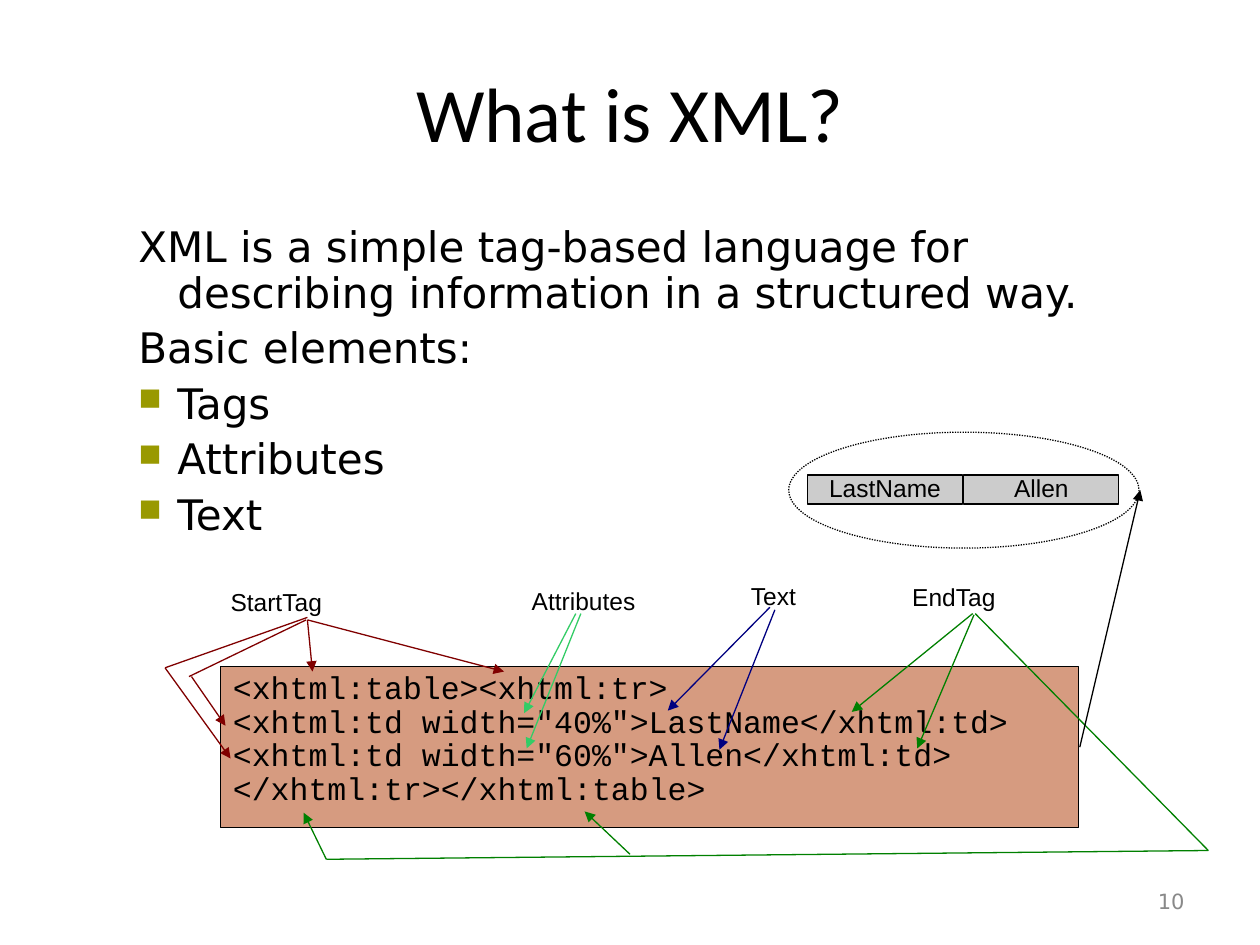
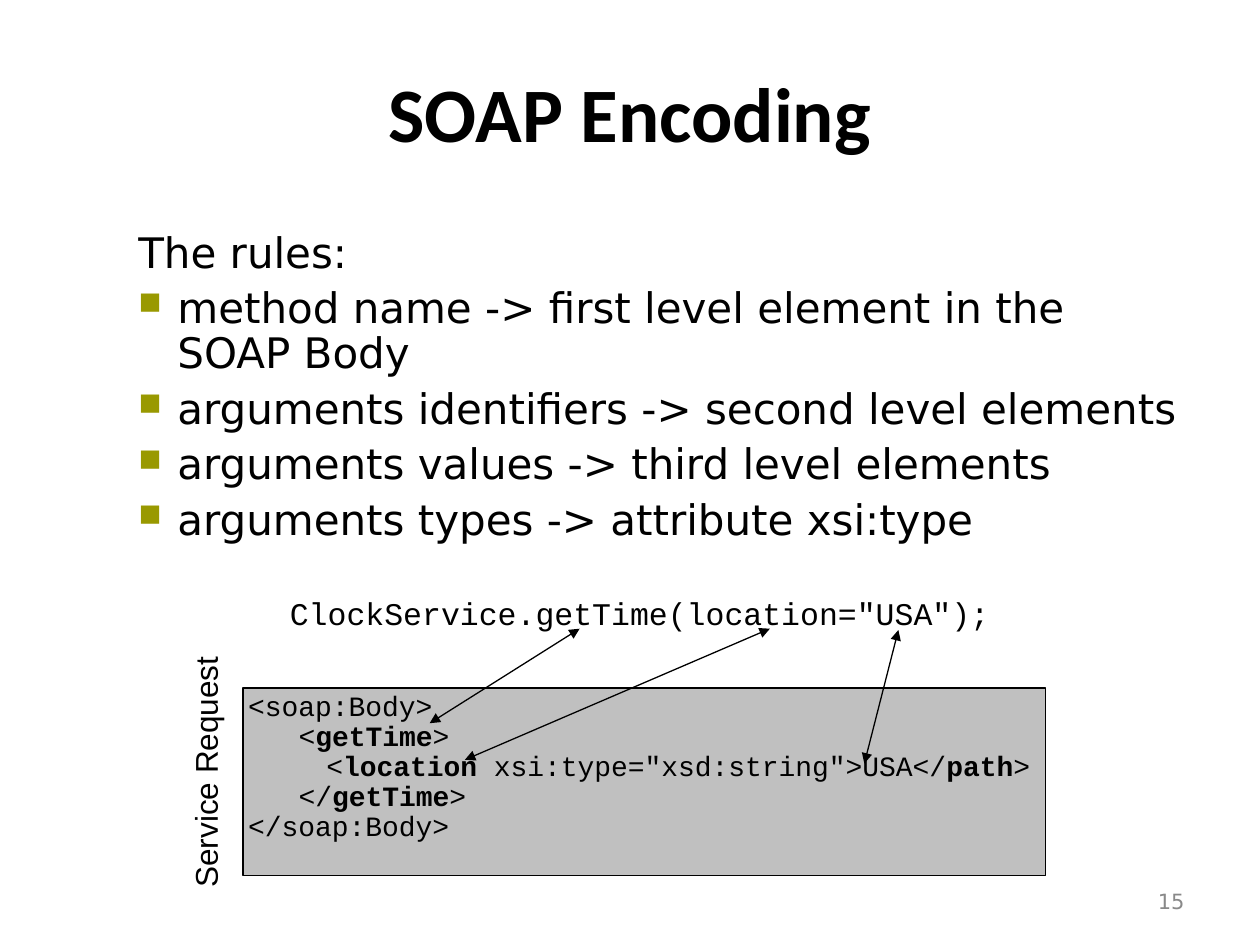
"""Build two slides that explain XML markup and SOAP encoding."""
from lxml import etree
from pptx import Presentation
from pptx.dml.color import RGBColor
from pptx.enum.dml import MSO_LINE
from pptx.enum.shapes import MSO_CONNECTOR, MSO_SHAPE
from pptx.enum.text import MSO_ANCHOR, PP_ALIGN
from pptx.oxml.ns import qn
from pptx.util import Inches, Pt

COLORS = {
    "ink": "000000", "number": "898989", "bullet": "999900",
    "xml": "D69B80", "cell": "CCCCCC", "soap": "C0C0C0",
    "start": "800000", "attribute": "33CC66", "text": "000080", "end": "008000",
}
STYLES = {
    "title": dict(font="Calibri", size=44, align=PP_ALIGN.CENTER,
                  spacing=0.95, anchor=MSO_ANCHOR.MIDDLE),
    "body": dict(font="DejaVu Sans", size=24, spacing=0.9, before=5.8, inset=(0.1, 0.05)),
    "number": dict(font="DejaVu Sans", size=12, color="number", align=PP_ALIGN.RIGHT,
                   anchor=MSO_ANCHOR.MIDDLE, inset=(0.1, 0.05)),
    "label": dict(font="Arial", size=14, spacing=0.93),
    "cell": dict(font="Arial", size=14, spacing=0.93, align=PP_ALIGN.CENTER,
                 anchor=MSO_ANCHOR.MIDDLE),
    "side": dict(font="Arial", size=18, spacing=0.93),
    "call": dict(font="Courier New", size=18, spacing=0.89),
    "xml": dict(font="Courier New", size=18, spacing=0.89, inset=(0.1, 0.05)),
    "soap": dict(font="Courier New", size=16, spacing=0.89, inset=(0.04, 0.04)),
}
TITLE_BOX = (0.5, 0.3, 9, 1.25)
NUMBER_BOX = (7.17, 6.95, 2.33, 0.4)

XML_PAGE = dict(
    title="What is XML?", number="10", body_height=2.58,
    intro=["XML is a simple tag-based language for describing information "
           "in a structured way.", "Basic elements:"],
    bullets=["Tags", "Attributes", "Text"],
)
XML_CODE = [
    "<xhtml:table><xhtml:tr>",
    '<xhtml:td width="40%">LastName</xhtml:td>',
    '<xhtml:td width="60%">Allen</xhtml:td>',
    "</xhtml:tr></xhtml:table>",
]
XML_LABELS = [
    ("StartTag", 1.83, 4.68, 1.54), ("Text", 5.96, 4.63, 0.53),
    ("EndTag", 7.24, 4.64, 1.54), ("Attributes", 4.22, 4.67, 0.92),
]
XML_CELLS = ["LastName", "Allen"]
XML_LINES = {
    "start": [((2.43, 4.92), (1.5, 5.37)), ((2.44, 4.9), (1.31, 5.3))],
    "end": [((7.74, 4.87), (9.59, 6.75)), ((2.59, 6.82), (9.59, 6.75))],
}
XML_ARROWS = {
    "start": [((2.44, 4.92), (2.48, 5.33)), ((2.44, 4.92), (4, 5.33)),
              ((1.52, 5.37), (1.79, 5.76)), ((1.31, 5.3), (1.83, 6.02))],
    "attribute": [((4.57, 4.87), (4.16, 5.66)), ((4.61, 4.87), (4.18, 5.94))],
    "text": [((6.11, 4.82), (5.3, 5.64)), ((6.15, 4.84), (5.71, 5.95))],
    "end": [((7.72, 4.87), (6.76, 5.65)), ((7.73, 4.88), (7.28, 5.94)),
            ((2.59, 6.82), (2.41, 6.45)), ((5, 6.78), (4.64, 6.44))],
    "ink": [((8.57, 5.93), (9.05, 3.89))],
}

SOAP_PAGE = dict(
    title="SOAP Encoding", number="15", body_height=2.62, bold_title=True,
    intro=["The rules:"], intro_format=dict(line_spacing=1.0, space_before=Pt(6.8)),
    bullets=["method name -> first level element in the SOAP Body",
             "arguments identifiers -> second level elements",
             "arguments values -> third level elements",
             "arguments types -> attribute xsi:type"],
)
SOAP_CALL = 'ClockService.getTime(location="USA");'
SOAP_CODE = [
    (0, "<soap:Body>"),
    (0.4, "<*getTime*>"),
    (0.62, '<*location* xsi:type="xsd:string">USA</*path*>'),
    (0.4, "</*getTime*>"),
    (0, "</soap:Body>"),
]
SOAP_ARROWS = [((3.69, 6.03), (6.11, 4.99)), ((6.86, 6.06), (7.13, 5)),
               ((3.41, 5.74), (4.6, 4.99))]


def rgb(name):
    return RGBColor.from_string(COLORS[name])


def assign(target, values):
    for name, value in values.items():
        setattr(target, name, value)


def write(shape, lines, style_name, bold=False):
    """Fill a shape with lines in a named style; asterisks enclose bold parts."""
    style = STYLES[style_name]
    frame = shape.text_frame
    across, down = (Inches(gap) for gap in style.get("inset", (0, 0)))
    assign(frame, dict(word_wrap=True, margin_left=across, margin_right=across,
                       margin_top=down, margin_bottom=down,
                       vertical_anchor=style.get("anchor", MSO_ANCHOR.TOP)))
    for index, line in enumerate(lines):
        para = frame.add_paragraph() if index else frame.paragraphs[0]
        assign(para, dict(alignment=style.get("align", PP_ALIGN.LEFT),
                          line_spacing=style.get("spacing", 1.0),
                          space_before=Pt(style.get("before", 0))))
        for part, words in enumerate(line.split("*")):
            span = para.add_run()
            span.text = words
            assign(span.font, dict(name=style["font"], size=Pt(style["size"]),
                                   bold=bold or part % 2 == 1))
            span.font.color.rgb = rgb(style.get("color", "ink"))
    return frame.paragraphs


def add_text(page, box, lines, style_name, bold=False, rotation=0):
    shape = page.shapes.add_textbox(*map(Inches, box))
    shape.rotation = rotation
    return write(shape, lines, style_name, bold)


def add_panel(page, box, fill=None, kind=MSO_SHAPE.ROUNDED_RECTANGLE):
    panel = page.shapes.add_shape(kind, *map(Inches, box))
    panel.shadow.inherit = False
    if kind == MSO_SHAPE.ROUNDED_RECTANGLE:
        panel.adjustments[0] = 0
    if fill:
        panel.fill.solid()
        panel.fill.fore_color.rgb = rgb(fill)
    else:
        panel.fill.background()
    panel.line.color.rgb = rgb("ink")
    panel.line.width = Pt(0.75)
    return panel


def add_line(page, start, end, color, arrows=()):
    line = page.shapes.add_connector(MSO_CONNECTOR.STRAIGHT,
                                     *map(Inches, (*start, *end)))
    line.line.color.rgb = rgb(color)
    line.line.width = Pt(0.75)
    outline = line.line._get_or_add_ln()
    for tip in arrows:
        etree.SubElement(outline, qn(f"a:{tip}"), type="triangle")
    etree.SubElement(line._element.spPr, qn("a:effectLst"))


def indent(para, left, first=0.0):
    properties = para._p.get_or_add_pPr()
    properties.set("marL", str(Inches(left)))
    properties.set("indent", str(Inches(first)))
    return properties


def add_bullet(properties):
    color = etree.SubElement(properties, qn("a:buClr"))
    etree.SubElement(color, qn("a:srgbClr"), val=COLORS["bullet"])
    etree.SubElement(properties, qn("a:buSzPct"), val="75000")
    etree.SubElement(properties, qn("a:buChar"), char="■")


def add_page(deck, content):
    page = deck.slides.add_slide(deck.slide_layouts[6])
    add_text(page, TITLE_BOX, [content["title"]], "title", content.get("bold_title", False))
    intro = content["intro"]
    paras = add_text(page, (0.5, 1.75, 9, content["body_height"]),
                     intro + content["bullets"], "body")
    for index, para in enumerate(paras):
        properties = indent(para, 0.81, -0.31)
        if index < len(intro):
            assign(para, content.get("intro_format", {}))
        else:
            add_bullet(properties)
    add_text(page, NUMBER_BOX, [content["number"]], "number")
    return page


def build_xml_page(deck):
    page = add_page(deck, XML_PAGE)
    write(add_panel(page, (1.75, 5.29, 6.81, 1.28), "xml"), XML_CODE, "xml")
    for label, left, top, width in XML_LABELS:
        add_text(page, (left, top, width, 0.22), [label], "label")
    for column, words in enumerate(XML_CELLS):
        cell = add_panel(page, (6.41 + 1.24 * column, 3.77, 1.23, 0.23), "cell")
        write(cell, [words], "cell")
    ring = add_panel(page, (6.26, 3.43, 2.78, 0.92), kind=MSO_SHAPE.OVAL)
    ring.line.dash_style = MSO_LINE.ROUND_DOT
    for routes, arrows in ((XML_LINES, ()), (XML_ARROWS, ("tailEnd",))):
        for color, ends in routes.items():
            for start, end in ends:
                add_line(page, start, end, color, arrows)


def build_soap_page(deck):
    page = add_page(deck, SOAP_PAGE)
    add_text(page, (2.3, 4.75, 5.65, 0.27), [SOAP_CALL], "call")
    body = add_panel(page, (1.93, 5.46, 6.37, 1.49), "soap")
    paras = write(body, [line for _, line in SOAP_CODE], "soap")
    for para, (left, _) in zip(paras, SOAP_CODE):
        indent(para, left)
    for start, end in SOAP_ARROWS:
        add_line(page, start, end, "ink", ("headEnd", "tailEnd"))
    add_text(page, (0.72, 5.98, 1.85, 0.28), ["Service Request"], "side", rotation=270)


def main():
    deck = Presentation()
    assign(deck, dict(slide_width=Inches(10), slide_height=Inches(7.5)))
    build_xml_page(deck)
    build_soap_page(deck)
    deck.save("out.pptx")


if __name__ == "__main__":
    main()
